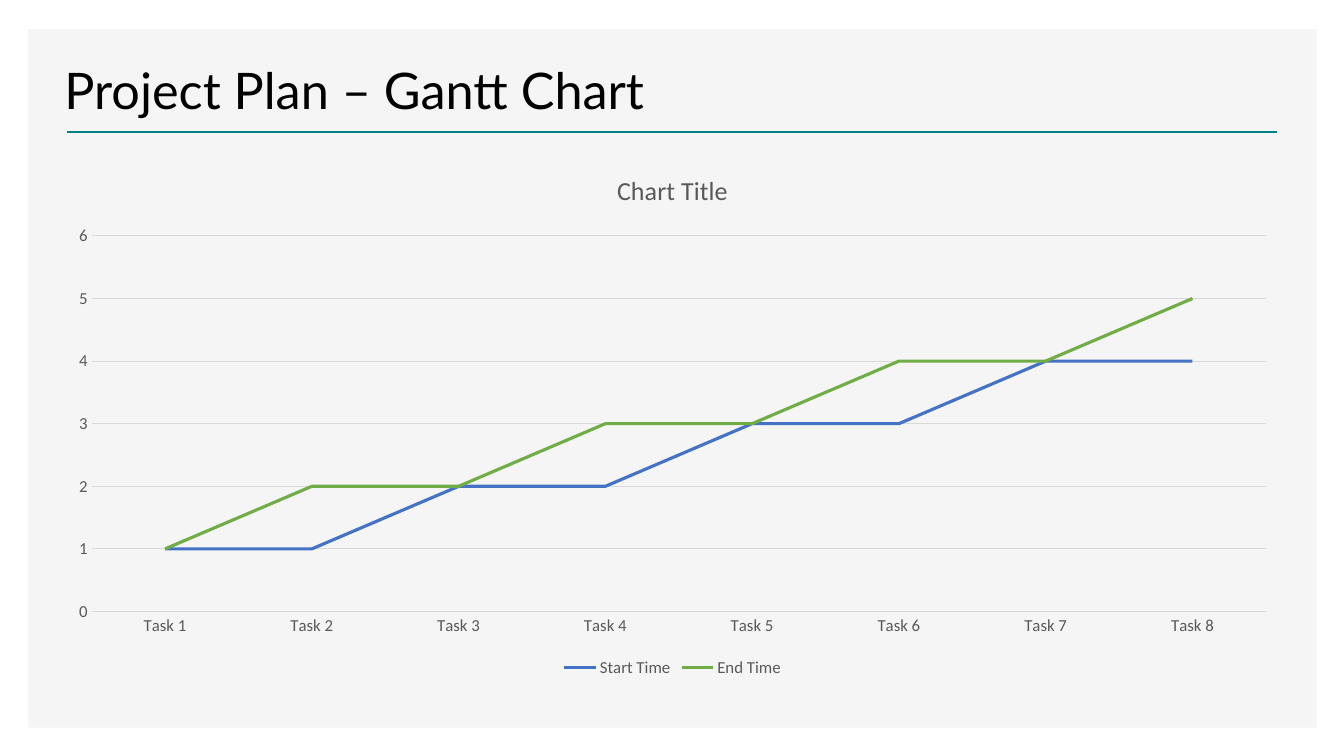
from lxml import etree
from pptx import Presentation
from pptx.chart.data import CategoryChartData
from pptx.dml.color import RGBColor
from pptx.enum.chart import XL_CHART_TYPE, XL_LEGEND_POSITION, XL_MARKER_STYLE, XL_TICK_MARK
from pptx.enum.shapes import MSO_CONNECTOR, MSO_SHAPE
from pptx.enum.text import MSO_ANCHOR
from pptx.oxml.ns import qn
from pptx.util import Inches, Pt

TITLE = "Project Plan – Gantt Chart"
CHART_TITLE = "Chart Title"
TASKS = [f"Task {n}" for n in range(1, 9)]
SERIES = [
    ("Start Time", (1, 1, 2, 2, 3, 3, 4, 4), "start"),
    ("End Time", (1, 2, 2, 3, 3, 4, 4, 5), "end"),
]
COLORS = {
    "panel": "F5F5F5", "rule": "008284", "title": "000000", "label": "595959",
    "grid": "D9D9D9", "start": "4472C4", "end": "70AD47",
}
LEFT, WIDTH = 0.54, 12.26


def color(name):
    return RGBColor.from_string(COLORS[name])


def set_font(font, name, size, shade):
    font.name, font.size, font.bold = name, Pt(size), False
    font.color.rgb = color(shade)


def set_line(line, shade, width):
    line.color.rgb = color(shade)
    line.width = Pt(width)


def add_background(slide):
    panel = slide.shapes.add_shape(
        MSO_SHAPE.RECTANGLE, Inches(0.28), Inches(0.29), Inches(12.78), Inches(6.93))
    panel.shadow.inherit = False
    panel.fill.solid()
    panel.fill.fore_color.rgb = color("panel")
    panel.line.fill.background()
    rule = slide.shapes.add_connector(
        MSO_CONNECTOR.STRAIGHT, Inches(0.66), Inches(1.31), Inches(12.67), Inches(1.31))
    set_line(rule.line, "rule", 2)
    etree.SubElement(rule._element.spPr, qn("a:effectLst"))


def add_title(slide):
    box = slide.shapes.add_textbox(
        Inches(LEFT), Inches(0.36), Inches(WIDTH), Inches(0.88))
    tf = box.text_frame
    tf.word_wrap = True
    tf.vertical_anchor = MSO_ANCHOR.BOTTOM
    p = tf.paragraphs[0]
    p.text = TITLE
    p.line_spacing = 0.9
    set_font(p.runs[0].font, "Lato", 36, "title")


def add_plan_chart(slide):
    data = CategoryChartData()
    data.categories = TASKS
    for name, values, _ in SERIES:
        data.add_series(name, values)
    chart = slide.shapes.add_chart(
        XL_CHART_TYPE.LINE, Inches(LEFT), Inches(1.5), Inches(WIDTH), Inches(5.26), data).chart
    set_font(chart.font, "Calibri", 12, "label")

    chart.has_title = True
    tf = chart.chart_title.text_frame
    tf.text = CHART_TITLE
    set_font(tf.paragraphs[0].runs[0].font, "Calibri", 18.6, "label")
    chart.chart_title.include_in_layout = False

    chart.has_legend = True
    chart.legend.position = XL_LEGEND_POSITION.BOTTOM
    chart.legend.include_in_layout = False
    set_font(chart.legend.font, "Calibri", 12, "label")

    for axis in (chart.category_axis, chart.value_axis):
        axis.major_tick_mark = axis.minor_tick_mark = XL_TICK_MARK.NONE
        set_font(axis.tick_labels.font, "Calibri", 12, "label")
    set_line(chart.category_axis.format.line, "grid", 0.75)
    value_axis = chart.value_axis
    value_axis.format.line.fill.background()
    value_axis.minimum_scale, value_axis.maximum_scale = 0, 6
    value_axis.major_unit = 1
    set_line(value_axis.major_gridlines.format.line, "grid", 0.75)

    plot = chart.plots[0]
    plot.vary_by_categories = False
    for series, (_, _, shade) in zip(plot.series, SERIES):
        series.smooth = False
        series.marker.style = XL_MARKER_STYLE.NONE
        set_line(series.format.line, shade, 2.25)


def main():
    prs = Presentation()
    prs.slide_width, prs.slide_height = Inches(13.33), Inches(7.5)
    slide = prs.slides.add_slide(prs.slide_layouts[6])
    add_background(slide)
    add_title(slide)
    add_plan_chart(slide)
    prs.save("out.pptx")


if __name__ == "__main__":
    main()
